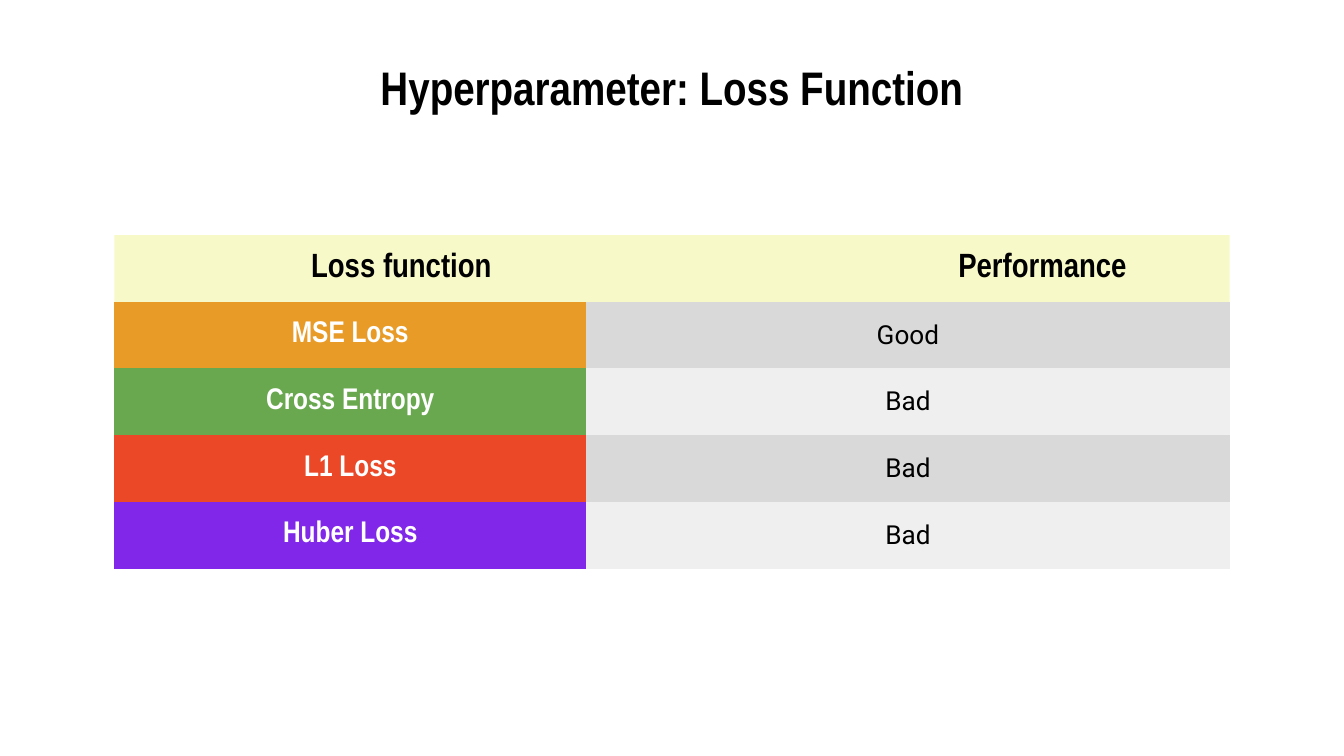
from dataclasses import dataclass

from lxml import etree
from pptx import Presentation
from pptx.dml.color import RGBColor as RGB
from pptx.enum.text import MSO_ANCHOR as ANCHOR, MSO_AUTO_SIZE as AUTOSIZE, PP_ALIGN as ALIGN
from pptx.oxml.ns import qn
from pptx.util import Cm, Pt


@dataclass(frozen=True)
class Theme:
    heading_font: str = "Arial Narrow"
    body_font: str = "Roboto"
    title_size: float = 25.2
    header_size: float = 18
    name_size: float = 16
    body_size: float = 14
    dark: str = "000000"
    light: str = "FFFFFF"
    header_fill: str = "E4EA27"
    bands: tuple = ("D9D9D9", "EFEFEF")


theme = Theme()
INSET = Cm(0.25)
NO_STYLE = "{2D5ABB26-0587-4C30-8999-92F81FD0307C}"
LOSSES = [
    ("MSE Loss", "Good", "E99B27"),
    ("Cross Entropy", "Bad", "6AA84F"),
    ("L1 Loss", "Bad", "EA4827"),
    ("Huber Loss", "Bad", "8027EA"),
]


def add_run(p, text, font, size, color, bold):
    r = p.add_run()
    r.text = text
    r.font.name = font
    r.font.size = Pt(size)
    r.font.bold = bold
    r.font.color.rgb = RGB.from_string(color)


def fill_cell(cell, color):
    """Fill the cell, set its insets and return its first paragraph."""
    cell.fill.solid()
    cell.fill.fore_color.rgb = RGB.from_string(color)
    cell.margin_left = cell.margin_right = INSET
    cell.margin_top = cell.margin_bottom = INSET
    cell.vertical_anchor = ANCHOR.MIDDLE
    return cell.text_frame.paragraphs[0]


prs = Presentation()
prs.slide_width, prs.slide_height = Cm(25.4), Cm(14.28)
s = prs.slides.add_slide(prs.slide_layouts[5])

# Title
title = s.shapes.title
title.left, title.top, title.width, title.height = Cm(1.27), Cm(1.12), Cm(22.86), Cm(1.04)
tf = title.text_frame
tf.auto_size = AUTOSIZE.NONE
tf.word_wrap = True
tf.vertical_anchor = ANCHOR.MIDDLE
tf.margin_left = tf.margin_right = tf.margin_top = tf.margin_bottom = INSET
p = tf.paragraphs[0]
p.alignment = ALIGN.CENTER
add_run(p, "Hyperparameter: Loss Function", theme.heading_font, theme.title_size, theme.dark, True)

# Table
widths, row_height = (Cm(8.92), Cm(12.16)), Cm(1.26)
rows = len(LOSSES) + 1
table = s.shapes.add_table(rows, 2, Cm(2.16), Cm(4.44), sum(widths), row_height * rows).table
table._tbl.tblPr.find(qn("a:tableStyleId")).text = NO_STYLE
for column, width in zip(table.columns, widths):
    column.width = width
for row in table.rows:
    row.height = row_height

# Header: one merged cell, its two labels placed by tab stops
header = table.cell(0, 0)
header.merge(table.cell(0, 1))
p = fill_cell(header, theme.header_fill)
color = header._tc.tcPr.find(".//" + qn("a:srgbClr"))
etree.SubElement(color, qn("a:alpha"), val="25000")
tabs = etree.SubElement(p._p.get_or_add_pPr(), qn("a:tabLst"))
for stop in (Cm(3.47), Cm(15.7)):
    etree.SubElement(tabs, qn("a:tab"), pos=str(stop), algn="l")
for label in ("Loss function", "Performance"):
    add_run(p, "\t" + label, theme.heading_font, theme.header_size, theme.dark, True)

# Body: coloured names beside banded results
for i, (name, result, fill) in enumerate(LOSSES):
    p = fill_cell(table.cell(i + 1, 0), fill)
    p.alignment = ALIGN.CENTER
    add_run(p, name, theme.heading_font, theme.name_size, theme.light, True)
    p = fill_cell(table.cell(i + 1, 1), theme.bands[i % 2])
    p.alignment = ALIGN.CENTER
    add_run(p, result, theme.body_font, theme.body_size, theme.dark, False)

prs.save("out.pptx")
